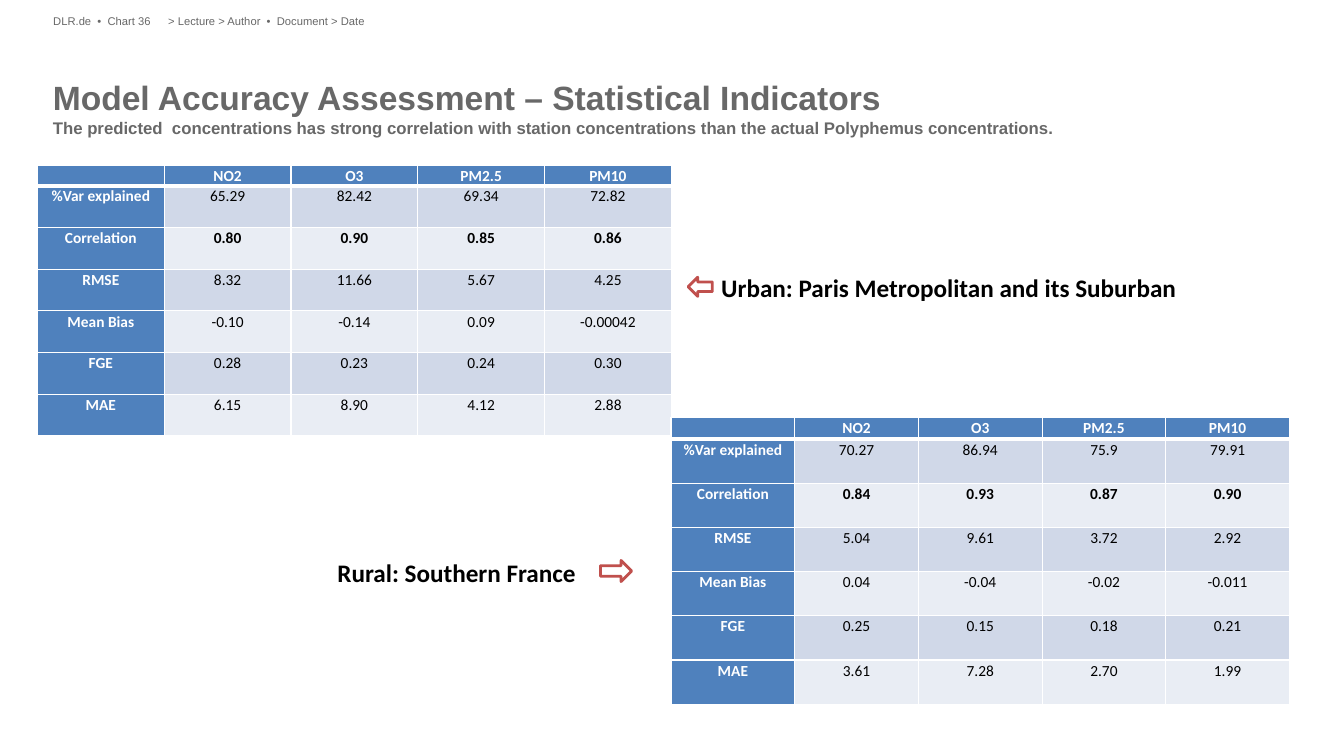
from lxml.etree import SubElement
from pptx import Presentation
from pptx.dml.color import RGBColor
from pptx.enum.shapes import MSO_SHAPE
from pptx.enum.text import PP_ALIGN
from pptx.oxml.ns import qn
from pptx.util import Pt

# Content
HEADERS = [
    ("DLR.de  •  Chart 36", 38, 82),
    ("> Lecture > Author  •  Document > Date", 120.2, 801),
]
TITLE = "Model Accuracy Assessment – Statistical Indicators"
SUBTITLE = ("The predicted  concentrations has strong correlation with station "
            "concentrations than the actual Polyphemus concentrations.")
POLLUTANTS = ["", "NO2", "O3", "PM2.5", "PM10"]
URBAN_ROWS = [
    ["%Var explained", "65.29", "82.42", "69.34", "72.82"],
    ["Correlation", "0.80", "0.90", "0.85", "0.86"],
    ["RMSE", "8.32", "11.66", "5.67", "4.25"],
    ["Mean Bias", "-0.10", "-0.14", "0.09", "-0.00042"],
    ["FGE", "0.28", "0.23", "0.24", "0.30"],
    ["MAE", "6.15", "8.90", "4.12", "2.88"],
]
RURAL_ROWS = [
    ["%Var explained", "70.27", "86.94", "75.9", "79.91"],
    ["Correlation", "0.84", "0.93", "0.87", "0.90"],
    ["RMSE", "5.04", "9.61", "3.72", "2.92"],
    ["Mean Bias", "0.04", "-0.04", "-0.02", "-0.011"],
    ["FGE", "0.25", "0.15", "0.18", "0.21"],
    ["MAE", "3.61", "7.28", "2.70", "1.99"],
]
# rows, left, top, column width, header height, row height
TABLES = [
    (URBAN_ROWS, 26.8, 118.2, 90.6, 14.5, 29.8),
    (RURAL_ROWS, 479.6, 298.2, 88.4, 15.4, 31.6),
]
CAPTIONS = [
    ("Urban: Paris Metropolitan and its Suburban", 508.3, 189.4, 480),
    ("Rural: Southern France", 234, 393.2, 206),
]
ARROWS = [
    (MSO_SHAPE.LEFT_ARROW, 491.8, 198, 17.3, 13.7),
    (MSO_SHAPE.RIGHT_ARROW, 429.1, 400.3, 22.3, 15.1),
]

GRAY = RGBColor(0x68, 0x68, 0x68)
WHITE = RGBColor(0xFF, 0xFF, 0xFF)
BLACK = RGBColor(0, 0, 0)
BLUE = RGBColor(0x4F, 0x81, 0xBD)
BAND_DARK = RGBColor(0xD0, 0xD8, 0xE8)
BAND_LIGHT = RGBColor(0xE9, 0xED, 0xF4)
RED = RGBColor(0xC0, 0x50, 0x4D)
LINE_SPACING = 1.07


def add_run(para, text, size, font, color, bold=False):
    span = para.add_run()
    span.text = text
    span.font.size = Pt(size)
    span.font.name = font
    span.font.color.rgb = color
    span.font.bold = bold


def add_box(slide, left, top, width, height, inset=True):
    box = slide.shapes.add_textbox(Pt(left), Pt(top), Pt(width), Pt(height))
    frame = box.text_frame
    frame.word_wrap = True
    if not inset:
        frame.margin_left = frame.margin_right = 0
        frame.margin_top = frame.margin_bottom = 0
    return frame.paragraphs[0]


def set_borders(cell, top, bottom):
    properties = cell._tc.get_or_add_tcPr()
    for side, width in (("L", 1), ("R", 1), ("T", top), ("B", bottom)):
        line = SubElement(properties, qn(f"a:ln{side}"), w=str(Pt(width)))
        fill = SubElement(line, qn("a:solidFill"))
        SubElement(fill, qn("a:srgbClr"), val=str(WHITE))


def fill_cell(cell, text, row, column):
    is_label = row == 0 or column == 0
    set_borders(cell, 3 if row == 1 else 1, 3 if row == 0 else 1)
    cell.fill.solid()
    band = BAND_DARK if row % 2 else BAND_LIGHT
    cell.fill.fore_color.rgb = BLUE if is_label else band
    cell.margin_left = cell.margin_right = Pt(5)
    cell.margin_top = cell.margin_bottom = 0
    para = cell.text_frame.paragraphs[0]
    para.alignment = PP_ALIGN.CENTER
    para.line_spacing = LINE_SPACING
    if text:
        # The correlation row is emphasised
        add_run(para, text, 11, "Calibri", WHITE if is_label else BLACK,
                is_label or row == 2)
    else:
        # Keeps the empty corner cell from stretching the header row
        SubElement(para._p, qn("a:endParaRPr"), sz="1100")


def add_indicator_table(slide, rows, left, top, column_width, header_height, row_height):
    grid = [POLLUTANTS] + rows
    table = slide.shapes.add_table(
        len(grid), len(POLLUTANTS), Pt(left), Pt(top),
        Pt(column_width * len(POLLUTANTS)),
        Pt(header_height + row_height * len(rows))).table
    for column in table.columns:
        column.width = Pt(column_width)
    for r, texts in enumerate(grid):
        table.rows[r].height = Pt(row_height if r else header_height)
        for c, text in enumerate(texts):
            fill_cell(table.cell(r, c), text, r, c)


def main():
    deck = Presentation()
    deck.slide_width, deck.slide_height = Pt(960.5), Pt(540)
    page = deck.slides.add_slide(deck.slide_layouts[6])

    # Header line and title
    for text, left, width in HEADERS:
        add_run(add_box(page, left, 10.1, width, 11.5, inset=False),
                text, 8, "Arial", GRAY)
    para = add_box(page, 37.8, 55, 883, 37.4, inset=False)
    add_run(para, TITLE, 24, "Arial", GRAY, True)
    para.add_line_break()
    add_run(para, SUBTITLE, 12, "Arial", GRAY, True)

    # Tables of indicators
    for table in TABLES:
        add_indicator_table(page, *table)

    # Region captions
    for text, left, top, width in CAPTIONS:
        para = add_box(page, left, top, width, 29.5)
        para.line_spacing = LINE_SPACING
        para.space_after = Pt(8)
        add_run(para, text, 18, "Calibri", BLACK, True)

    # Arrows pointing at the tables
    for kind, left, top, width, height in ARROWS:
        arrow = page.shapes.add_shape(kind, Pt(left), Pt(top), Pt(width), Pt(height))
        arrow.shadow.inherit = False
        arrow.fill.solid()
        arrow.fill.fore_color.rgb = WHITE
        arrow.line.color.rgb = RED
        arrow.line.width = Pt(2)

    deck.save("out.pptx")


if __name__ == "__main__":
    main()
